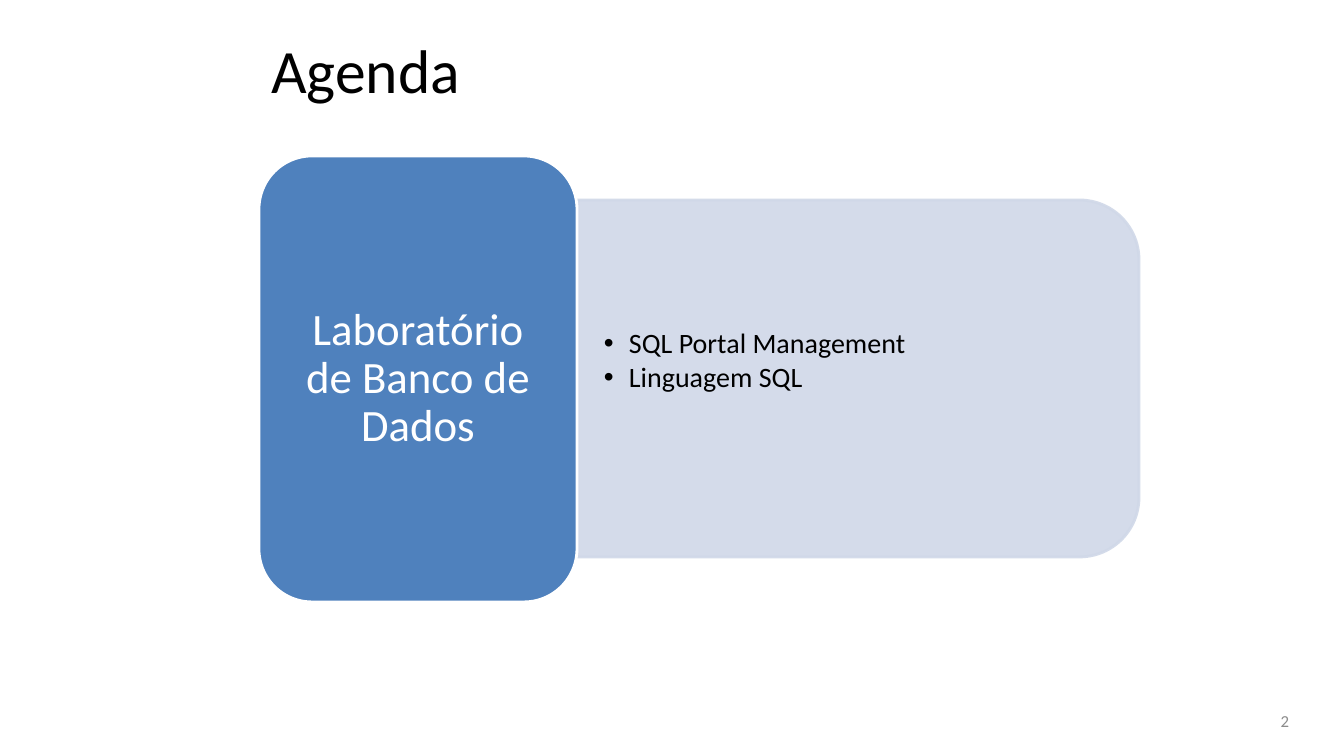
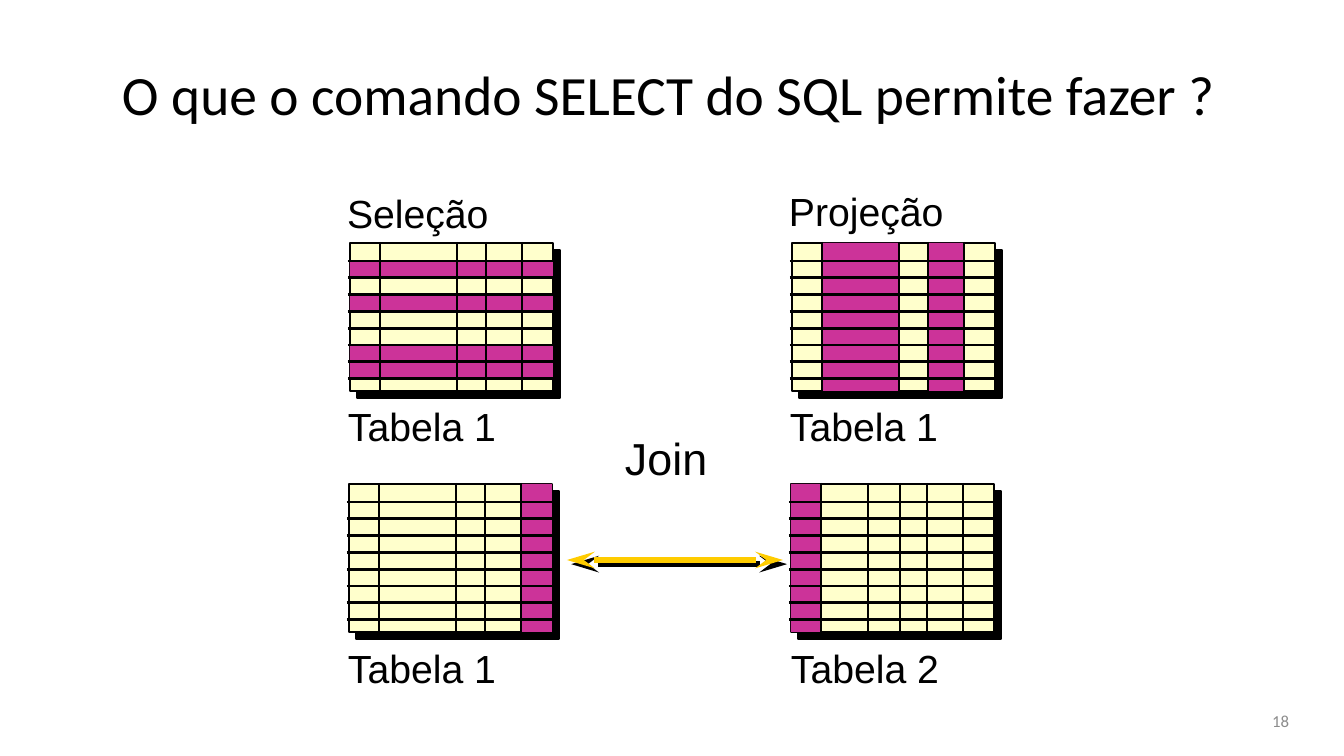
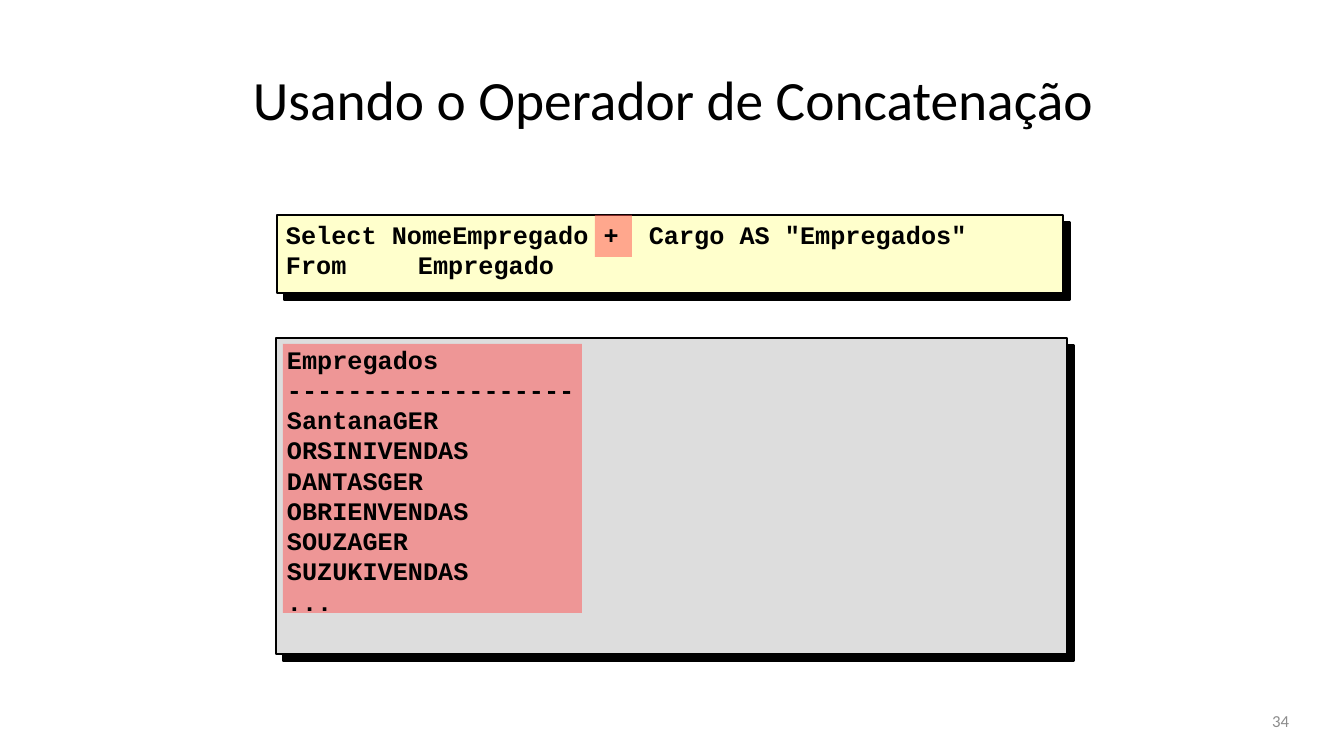
from itertools import pairwise

from lxml.etree import SubElement
from pptx import Presentation
from pptx.dml.color import RGBColor
from pptx.enum.shapes import MSO_CONNECTOR, MSO_SHAPE
from pptx.enum.text import MSO_ANCHOR, PP_ALIGN
from pptx.oxml.ns import qn
from pptx.util import Pt

SCALE = 914400 / 100.8
BLACK, WHITE, GRAY = "000000", "FFFFFF", "8C8C8C"
BLUE, PALE_BLUE = "4F81BD", "D0D8E8"
CREAM, MAGENTA, GOLD = "FFFFCC", "CC3399", "FFCC00"
SILVER, RED = "DDDDDD", "FF5050"
INSET = (10, 5, 10, 5)
NUMBER_BOX = (986, 701, 313, 40)

AGENDA = {
    "title": ("Agenda", (261, 6, 890, 126), 44),
    "number": "2",
    "subject": "Laboratório de Banco de Dados",
    "topics": ["SQL Portal Management", "Linguagem SQL"],
}

GRID_WIDTH, GRID_HEIGHT = 203, 148
FIRST_ROW, ROW_PITCH, ROW_LINES = 18, 16.8, 8
FIVE_COLUMNS = (30, 107, 136, 172)
SIX_COLUMNS = (30, 77, 109, 136, 172)
SELECT = {
    "title": ("O que o comando SELECT do SQL permite fazer ?", (112, 30, 1187, 126), 39.6),
    "number": "18",
    "grids": [
        (350, 243, FIVE_COLUMNS, "rows", (1, 3, 6, 7)),
        (792, 243, FIVE_COLUMNS, "columns", (1, 3)),
        (349, 484, FIVE_COLUMNS, "columns", (4,)),
        (791, 484, SIX_COLUMNS, "columns", (0,)),
    ],
    "labels": [
        ("Seleção", (337, 184, 164, 57), 28),
        ("Projeção", (779, 182, 177, 57), 28),
        ("Tabela 1", (338, 397, 170, 57), 28),
        ("Tabela 1", (780, 397, 170, 57), 28),
        ("Tabela 1", (338, 639, 170, 57), 28),
        ("Tabela 2", (781, 639, 170, 57), 28),
        ("Join", (615, 426, 104, 65), 32),
    ],
    "arrow": (567, 560, 783, 560),
}

CONCATENATION = {
    "title": ("Usando o Operador de Concatenação", (243, 44, 891, 109), 39.6),
    "number": "34",
    "panels": [((277, 215, 786, 78), CREAM), ((276, 338, 791, 316), SILVER)],
    "highlights": [(595, 215, 37, 42), (283, 344, 299, 269)],
    "query": ['Select NomeEmpregado +  Cargo AS "Empregados"', "From\tEmpregado"],
    "result": [
        "Empregados", "-------------------", "SantanaGER", "ORSINIVENDAS", "DANTASGER",
        "OBRIENVENDAS", "SOUZAGER", "SUZUKIVENDAS", "...",
    ],
}


def px(length):
    return round(length * SCALE)


def paint(color_format, color, alpha=100):
    color_format.solid()
    color_format.fore_color.rgb = RGBColor.from_string(color)
    if alpha < 100:
        for node in color_format._xPr.iter(qn("a:srgbClr")):
            SubElement(node, qn("a:alpha"), val=str(alpha * 1000))


def set_shadow(shape, distance=0):
    properties = shape._element.spPr
    for effects in properties.findall(qn("a:effectLst")):
        properties.remove(effects)
    effects = SubElement(properties, qn("a:effectLst"))
    if distance:
        shadow = SubElement(effects, qn("a:outerShdw"), dist=str(Pt(distance)),
                            dir="2700000", algn="ctr", rotWithShape="0")
        SubElement(shadow, qn("a:srgbClr"), val=BLACK)


def add_box(page, box, fill, line=None, kind=MSO_SHAPE.RECTANGLE, alpha=100, shadow=0):
    shape = page.shapes.add_shape(kind, *map(px, box))
    paint(shape.fill, fill, alpha)
    if line:
        paint(shape.line.fill, line, alpha)
        shape.line.width = Pt(2)
    else:
        shape.line.fill.background()
    set_shadow(shape, shadow)
    return shape


def add_line(page, ends, color=BLACK, width=2, shadow=0):
    line = page.shapes.add_connector(MSO_CONNECTOR.STRAIGHT, *map(px, ends))
    paint(line.line.fill, color)
    line.line.width = Pt(width)
    set_shadow(line, shadow)
    return line


def write(shape, lines, size, font="Calibri", color=BLACK, bold=False, align=PP_ALIGN.LEFT,
          anchor=MSO_ANCHOR.TOP, insets=INSET, wrap=True, spacing=None):
    frame = shape.text_frame
    frame.word_wrap = wrap
    frame.vertical_anchor = anchor
    frame.margin_left, frame.margin_top, frame.margin_right, frame.margin_bottom = map(px, insets)
    frame.text = "\n".join(lines)
    for para in frame.paragraphs:
        para.alignment = align
        para.line_spacing = spacing
        para.font.name, para.font.size, para.font.bold = font, Pt(size), bold
        para.font.color.rgb = RGBColor.from_string(color)
    return frame.paragraphs


def add_text(page, box, lines, size, **style):
    return write(page.shapes.add_textbox(*map(px, box)), lines, size, **style)


def add_page(deck, content):
    page = deck.slides.add_slide(deck.slide_layouts[6])
    title, box, size = content["title"]
    add_text(page, box, [title], size, anchor=MSO_ANCHOR.MIDDLE)
    add_text(page, NUMBER_BOX, [content["number"]], 12, color=GRAY,
             align=PP_ALIGN.RIGHT, anchor=MSO_ANCHOR.MIDDLE)
    return page


def add_bullet(para):
    properties = para._p.get_or_add_pPr()
    properties.set("marL", str(px(25)))
    properties.set("indent", str(px(-25)))
    SubElement(properties, qn("a:buFont"), typeface="Arial")
    SubElement(properties, qn("a:buChar"), char="•")


def add_tab_stop(para, position):
    stops = SubElement(para._p.get_or_add_pPr(), qn("a:tabLst"))
    SubElement(stops, qn("a:tab"), pos=str(px(position)), algn="l")


def add_grid(page, left, top, columns, direction, marked):
    rows = [FIRST_ROW + ROW_PITCH * index for index in range(ROW_LINES)]
    add_box(page, (left, top, GRID_WIDTH, GRID_HEIGHT), CREAM, BLACK, shadow=7.1)
    if direction == "rows":
        spans = list(pairwise([0, *rows, GRID_HEIGHT]))
    else:
        spans = list(pairwise([0, *columns, GRID_WIDTH]))
    for index in marked:
        start, end = spans[index]
        if direction == "rows":
            band = (left, top + start, GRID_WIDTH, end - start)
        else:
            band = (left + start, top, end - start, GRID_HEIGHT)
        add_box(page, band, MAGENTA)
    for x in columns:
        add_line(page, (left + x, top - 1, left + x, top + GRID_HEIGHT + 2))
    for y in rows:
        add_line(page, (left - 2, top + y, left + GRID_WIDTH + 1, top + y))


def build_agenda(deck):
    page = add_page(deck, AGENDA)
    panel = add_box(page, (679, 97, 357, 563), PALE_BLUE, PALE_BLUE,
                    MSO_SHAPE.ROUND_2_SAME_RECTANGLE, alpha=90)
    panel.rotation = 90
    topics = add_text(page, (577, 218, 546, 322), AGENDA["topics"], 20, spacing=0.9,
                      anchor=MSO_ANCHOR.MIDDLE, insets=(27, 14, 27, 49))
    for para in topics:
        para.space_after = Pt(3)
        add_bullet(para)
    subject = add_box(page, (259, 156, 318, 446), BLUE, WHITE, MSO_SHAPE.ROUNDED_RECTANGLE)
    write(subject, [AGENDA["subject"]], 32, color=WHITE, align=PP_ALIGN.CENTER, spacing=0.9,
          anchor=MSO_ANCHOR.MIDDLE, insets=(13, 7, 13, 7))


def build_select(deck):
    page = add_page(deck, SELECT)
    for grid in SELECT["grids"]:
        add_grid(page, *grid)
    for label, box, size in SELECT["labels"]:
        add_text(page, box, [label], size, font="Arial", wrap=False)
    arrow = add_line(page, SELECT["arrow"], GOLD, 4, shadow=4.2)
    for end in ("a:headEnd", "a:tailEnd"):
        SubElement(arrow.line._get_or_add_ln(), qn(end), type="stealth", w="med", len="lg")


def build_concatenation(deck):
    page = add_page(deck, CONCATENATION)
    for box, fill in CONCATENATION["panels"]:
        add_box(page, box, fill, BLACK, shadow=7.1)
    for box in CONCATENATION["highlights"]:
        add_box(page, box, RED, alpha=50)
    code = {"font": "Courier New", "bold": True}
    query = add_text(page, (276, 209, 788, 81), CONCATENATION["query"], 18,
                     anchor=MSO_ANCHOR.MIDDLE, **code)
    add_tab_stop(query[1], 132)
    add_text(page, (277, 339, 788, 285), CONCATENATION["result"], 18, **code)


def main():
    deck = Presentation()
    deck.slide_width, deck.slide_height = px(1344), px(756)
    for build in (build_agenda, build_select, build_concatenation):
        build(deck)
    deck.save("out.pptx")


if __name__ == "__main__":
    main()
